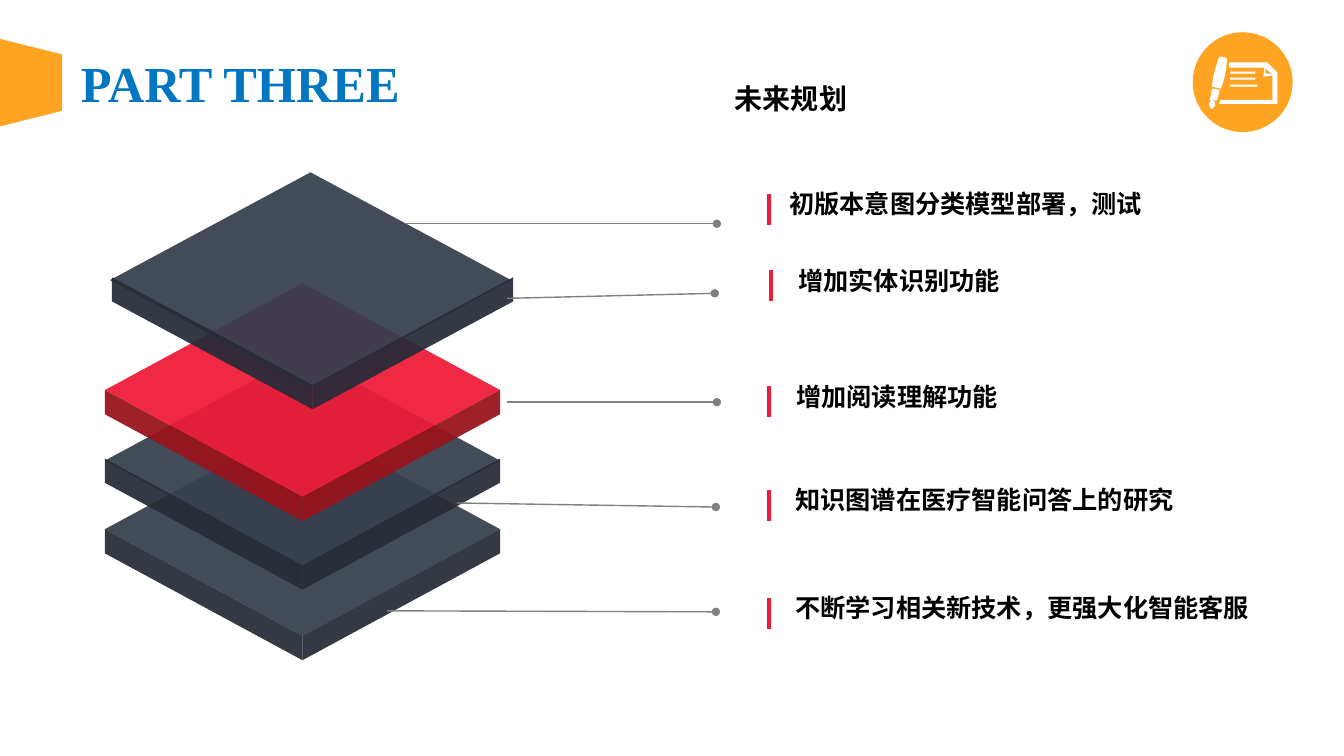
from lxml.etree import SubElement
from pptx import Presentation
from pptx.dml.color import RGBColor
from pptx.enum.shapes import MSO_CONNECTOR, MSO_SHAPE
from pptx.enum.text import MSO_AUTO_SIZE, PP_ALIGN
from pptx.oxml.ns import qn
from pptx.util import Emu, Pt

PX = 9144  # EMU per px, 100 px to the inch

BLUE = RGBColor(0x03, 0x76, 0xC2)
ORANGE = RGBColor(0xFF, 0xA4, 0x22)
WHITE = RGBColor(0xFF, 0xFF, 0xFF)
BLACK = RGBColor(0x00, 0x00, 0x00)
GRAY = RGBColor(0x80, 0x80, 0x80)
SLATE = RGBColor(0x38, 0x3F, 0x4E)
SLATE_DARK = RGBColor(0x28, 0x2D, 0x38)
RED = RGBColor(0xEE, 0x1C, 0x39)
RED_DARK = RGBColor(0x98, 0x14, 0x1D)

TITLE_FONT = "Times New Roman"
SUBTITLE_FONT = "Karla"
BODY_FONT = "Noto Sans CJK SC"


def px(n):
    return Emu(n * PX)


class Canvas:
    def __init__(self, slide):
        self.shapes = slide.shapes

    def paint(self, sp, color, alpha=100):
        sp.shadow.inherit = False
        sp.fill.solid()
        sp.fill.fore_color.rgb = color
        sp.line.fill.background()
        if alpha < 100:
            clr = sp._element.spPr.find(qn("a:solidFill"))[0]
            SubElement(clr, qn("a:alpha")).set("val", str(alpha * 1000))
        return sp

    def shape(self, kind, x, y, w, h, color):
        sp = self.shapes.add_shape(kind, px(x), px(y), px(w), px(h))
        return self.paint(sp, color)

    def outline(self, contours, color, alpha=100):
        fb = self.shapes.build_freeform(*contours[0][0], scale=PX)
        for i, points in enumerate(contours):
            if i:
                fb.move_to(*points[0])
            fb.add_line_segments(points[1:], close=True)
        return self.paint(fb.convert_to_shape(), color, alpha)

    def line(self, x1, y1, x2, y2, color, width, dot=False):
        cn = self.shapes.add_connector(
            MSO_CONNECTOR.STRAIGHT, px(x1), px(y1), px(x2), px(y2))
        cn.line.color.rgb = color
        cn.line.width = Pt(width)
        if dot:
            SubElement(cn.line._get_or_add_ln(), qn("a:tailEnd")).set("type", "oval")
        SubElement(cn._element.spPr, qn("a:effectLst"))

    def text(self, words, x, y, w, h, size, font, color=BLACK,
             align=PP_ALIGN.LEFT, wrap=True):
        tf = self.shapes.add_textbox(px(x), px(y), px(w), px(h)).text_frame
        tf.word_wrap = wrap
        tf.auto_size = MSO_AUTO_SIZE.SHAPE_TO_FIT_TEXT
        p = tf.paragraphs[0]
        p.alignment = align
        r = p.add_run()
        r.text = words
        r.font.size = Pt(size)
        r.font.bold = True
        r.font.color.rgb = color
        r.font.name = font
        SubElement(r._r.get_or_add_rPr(), qn("a:ea")).set("typeface", font)

    def slab(self, cx, lid_y, half_w, half_h, side_cx, side_y, lid_color, side_color):
        """A translucent diamond lid with its two visible side faces."""
        self.outline([[(cx + half_w, lid_y), (cx, lid_y + half_h),
                       (cx - half_w, lid_y), (cx, lid_y - half_h)]], lid_color, 94)
        low = side_y + half_h
        for edge in (side_cx + half_w, side_cx - half_w):
            self.outline([[(edge, side_y), (side_cx, low), (side_cx, low + 24),
                           (edge, side_y + 24)]], side_color, 94)


# Pen and paper icon, one contour per part
PEN = [(1209, 57), (1212, 56), (1215, 57), (1217, 59), (1216, 69), (1214, 79),
       (1211, 88), (1207, 87), (1202, 86), (1203, 77), (1206, 66)]
GRIP = [(1202, 88), (1200, 99), (1207, 100), (1210, 89)]
NIB = [(1201, 99), (1205, 101), (1205, 105), (1202, 108), (1200, 107), (1199, 103)]
SHEET = [(1211, 99), (1209, 103), (1267, 103), (1267, 72), (1257, 62), (1219, 62),
         (1219, 67), (1254, 67), (1253, 76), (1262, 75), (1262, 99)]
FOLD = [(1261, 73), (1255, 73), (1255, 68)]
WRITING = [[(1220, y), (right, y), (right, y + 2), (1220, y + 2)]
           for y, right in ((71, 1245), (77, 1245), (84, 1247))]

# Lid centre x and y, half width, half height, side centre x, side top y, colours
SLABS = [
    (300, 525, 196, 106, 300, 525, SLATE, SLATE_DARK),
    (300, 457, 196, 106, 300, 455, SLATE, SLATE_DARK),
    (300, 387, 196, 106, 300, 387, RED, RED_DARK),
    (308, 278, 199, 107, 310, 275, SLATE, SLATE_DARK),
]

# Words, text x and y, rule x, then leader line from and to
PLANS = [
    ("初版本意图分类模型部署，测试", 773, 182, 763, (402, 222, 711, 222)),
    ("增加实体识别功能", 782, 258, 765, (503, 296, 709, 291)),
    ("增加阅读理解功能", 780, 373, 763, (503, 399, 711, 399)),
    ("知识图谱在医疗智能问答上的研究", 779, 476, 763, (453, 499, 710, 503)),
    ("不断学习相关新技术，更强大化智能客服", 779, 583, 763, (384, 606, 710, 607)),
]


def main():
    prs = Presentation()
    prs.slide_width, prs.slide_height = px(1333), px(750)
    s = Canvas(prs.slides.add_slide(prs.slide_layouts[6]))

    # Header
    s.text("PART THREE", 62, 47, 353, 71, 36, TITLE_FONT, BLUE, PP_ALIGN.CENTER)
    s.shape(MSO_SHAPE.TRAPEZOID, -13, 51, 87, 62, ORANGE).rotation = 90
    s.shape(MSO_SHAPE.OVAL, 1183, 32, 99, 99, ORANGE)
    s.outline([PEN, GRIP, NIB, SHEET, FOLD, *WRITING], WHITE)
    s.text("未来规划", 719, 76, 131, 44, 20, SUBTITLE_FONT, wrap=False)

    # Stack of slabs, bottom first
    for slab in SLABS:
        s.slab(*slab)

    # Plans with their red rules and leader lines
    for words, x, y, rule_x, leader in PLANS:
        s.line(*leader, GRAY, 1, dot=True)
        s.text(words, x, y, 490, 40, 18, BODY_FONT)
        s.line(rule_x, y + 10, rule_x, y + 41, RED, 3)

    prs.save("out.pptx")


if __name__ == "__main__":
    main()
